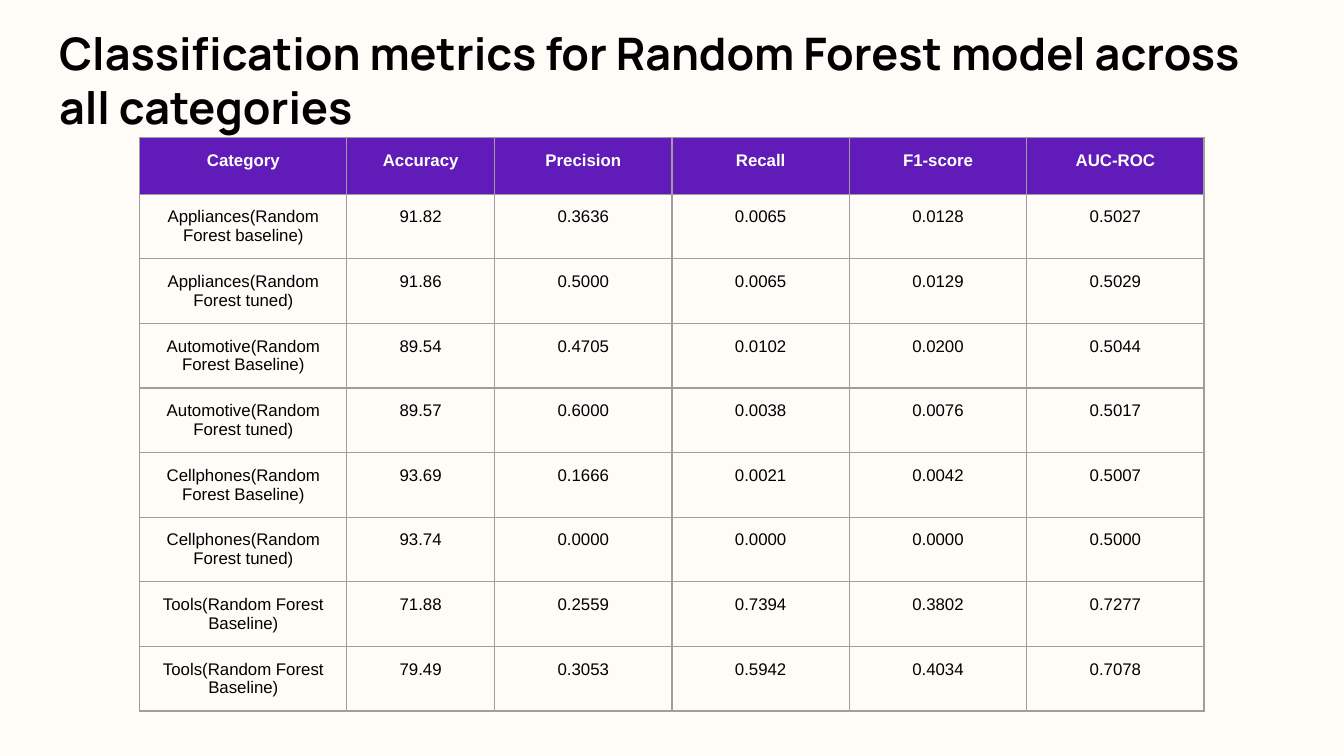
from dataclasses import dataclass

from lxml import etree
from pptx import Presentation
from pptx.dml.color import RGBColor
from pptx.enum import text
from pptx.oxml import ns
from pptx.util import Emu, Pt

PX = 4572
MARGIN = 20
BORDER = "9E9E9E"
COLUMN_WIDTHS = [308, 220, 264, 264, 264, 264]
ROW_HEIGHT = 84
HEADERS = ["Category", "Accuracy", "Precision", "Recall", "F1-score", "AUC-ROC"]
METRICS = [
    ["Appliances(Random Forest baseline)", "91.82", "0.3636", "0.0065", "0.0128", "0.5027"],
    ["Appliances(Random Forest tuned)", "91.86", "0.5000", "0.0065", "0.0129", "0.5029"],
    ["Automotive(Random Forest Baseline)", "89.54", "0.4705", "0.0102", "0.0200", "0.5044"],
    ["Automotive(Random Forest tuned)", "89.57", "0.6000", "0.0038", "0.0076", "0.5017"],
    ["Cellphones(Random Forest Baseline)", "93.69", "0.1666", "0.0021", "0.0042", "0.5007"],
    ["Cellphones(Random Forest tuned)", "93.74", "0.0000", "0.0000", "0.0000", "0.5000"],
    ["Tools(Random Forest Baseline)", "71.88", "0.2559", "0.7394", "0.3802", "0.7277"],
    ["Tools(Random Forest Baseline)", "79.49", "0.3053", "0.5942", "0.4034", "0.7078"],
]


@dataclass(frozen=True)
class TextStyle:
    font: str
    size: int
    color: str
    bold: bool
    align: text.PP_ALIGN


@dataclass(frozen=True)
class CellStyle:
    text: TextStyle
    fill: str | None = None


TITLE = TextStyle("Manrope", 24, "000000", True, text.PP_ALIGN.LEFT)
HEADER = CellStyle(TextStyle("Arial", 9, "FFFFFF", True, text.PP_ALIGN.CENTER), "611BB8")
BODY = CellStyle(TextStyle("Arial", 9, "000000", False, text.PP_ALIGN.CENTER))


def px(n: int) -> Emu:
    return Emu(n * PX)


def paint(color_format, color: str) -> None:
    color_format.rgb = RGBColor.from_string(color)


def write(p, words: str, style: TextStyle) -> None:
    p.alignment = style.align
    r = p.add_run()
    r.text = words
    r.font.name = style.font
    r.font.size = Pt(style.size)
    r.font.bold = style.bold
    paint(r.font.color, style.color)


def set_margins(box) -> None:
    box.margin_left = box.margin_right = px(MARGIN)
    box.margin_top = box.margin_bottom = px(MARGIN)


def add_borders(cell) -> None:
    tc_pr = cell._tc.get_or_add_tcPr()
    for side in ("lnL", "lnR", "lnT", "lnB"):
        ln = etree.SubElement(tc_pr, ns.qn(f"a:{side}"), w=str(Pt(0.75)))
        fill = etree.SubElement(ln, ns.qn("a:solidFill"))
        etree.SubElement(fill, ns.qn("a:srgbClr"), val=BORDER)


def fill_cell(cell, words: str, style: CellStyle) -> None:
    set_margins(cell)
    cell.vertical_anchor = text.MSO_ANCHOR.TOP
    add_borders(cell)
    if style.fill:
        cell.fill.solid()
        paint(cell.fill.fore_color, style.fill)
    else:
        cell.fill.background()
    write(cell.text_frame.paragraphs[0], words, style.text)


def add_title(s, words: str) -> None:
    sp = s.shapes.title
    sp.left, sp.top, sp.width, sp.height = px(68), px(17), px(1864), px(200)
    tf = sp.text_frame
    tf.word_wrap = True
    tf.auto_size = text.MSO_AUTO_SIZE.NONE
    tf.vertical_anchor = text.MSO_ANCHOR.TOP
    set_margins(tf)
    p = tf.paragraphs[0]
    p.line_spacing = Pt(29)
    write(p, words, TITLE)


def add_metrics_table(s) -> None:
    rows = [HEADERS, *METRICS]
    table = s.shapes.add_table(
        len(rows), len(HEADERS), px(208), px(205),
        px(sum(COLUMN_WIDTHS)), px(ROW_HEIGHT * len(rows)),
    ).table
    for column, width in zip(table.columns, COLUMN_WIDTHS):
        column.width = px(width)
    for i, row in enumerate(rows):
        table.rows[i].height = px(ROW_HEIGHT)
        for j, words in enumerate(row):
            fill_cell(table.cell(i, j), words, BODY if i else HEADER)


def main() -> None:
    prs = Presentation()
    prs.slide_width, prs.slide_height = px(2000), px(1125)
    s = prs.slides.add_slide(prs.slide_layouts[5])
    s.background.fill.solid()
    paint(s.background.fill.fore_color, "FFFBF7")
    add_title(s, "Classification metrics for Random Forest model across all categories")
    add_metrics_table(s)
    prs.save("out.pptx")


if __name__ == "__main__":
    main()
